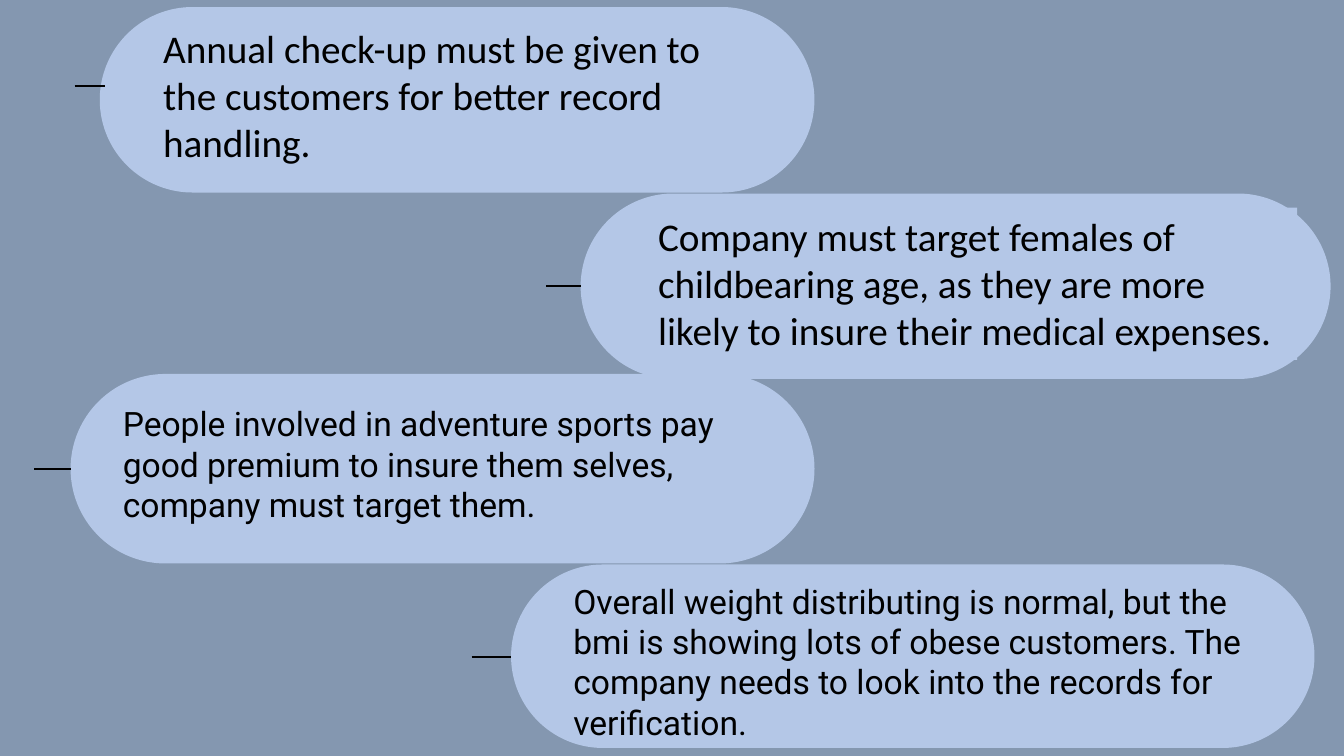
from dataclasses import dataclass

from lxml.etree import SubElement
from pptx import Presentation
from pptx.dml.color import RGBColor
from pptx.enum.shapes import MSO_CONNECTOR as Connector, MSO_SHAPE as Shape
from pptx.enum.text import MSO_ANCHOR as Anchor
from pptx.oxml.ns import qn
from pptx.util import Inches, Pt


@dataclass(frozen=True)
class Theme:
    background: RGBColor = RGBColor.from_string("8497B0")
    card: RGBColor = RGBColor.from_string("B4C7E7")
    ink: RGBColor = RGBColor.from_string("000000")
    line_width: Pt = Pt(1.5)
    calibri: tuple = ("Calibri", Pt(28))
    roboto: tuple = ("Roboto", Pt(24))


class CardSlide:
    """Draws recommendation cards on a grid of 40 columns and 30 rows."""

    def __init__(self, presentation, theme):
        self.theme = theme
        self.column = presentation.slide_width / 40
        self.row = presentation.slide_height / 30
        self.slide = presentation.slides.add_slide(presentation.slide_layouts[6])
        fill = self.slide.background.fill
        fill.solid()
        fill.fore_color.rgb = theme.background

    def place(self, *cells):
        units = (self.column, self.row) * 2
        return [round(cell * unit) for cell, unit in zip(cells, units)]

    def pill(self, group, box):
        shape = group.shapes.add_shape(Shape.ROUNDED_RECTANGLE, *self.place(*box))
        shape.adjustments[0] = 0.5
        shape.shadow.inherit = False
        self.paint(shape)
        shape.line.fill.background()

    def paint(self, shape):
        shape.fill.solid()
        shape.fill.fore_color.rgb = self.theme.card

    def lead(self, group, start, end, row):
        line = group.shapes.add_connector(
            Connector.STRAIGHT, *self.place(start, row, end, row))
        line.line.color.rgb = self.theme.ink
        line.line.width = self.theme.line_width
        SubElement(line._element.spPr, qn("a:effectLst"))

    def text(self, group, box, wording, style, filled):
        shape = group.shapes.add_textbox(*self.place(*box))
        if filled:
            self.paint(shape)
        frame = shape.text_frame
        frame.word_wrap = True
        frame.vertical_anchor = Anchor.TOP
        run = frame.paragraphs[0].add_run()
        run.text = wording
        run.font.name, run.font.size = style
        run.font.color.rgb = self.theme.ink

    def card(self, pill, lead, text, wording, style, filled=True):
        group = self.slide.shapes.add_group_shape()
        self.pill(group, pill)
        self.text(group, text, wording, style, filled)
        self.lead(group, *lead)


def main():
    presentation = Presentation()
    presentation.slide_width = Inches(13.33)
    presentation.slide_height = Inches(7.5)
    theme = Theme()
    slide = CardSlide(presentation, theme)
    slide.card(
        (2.1, 14.84, 22.14, 7.52), (1.02, 2.1, 18.6), (3.36, 15.8, 19.32, 5.24),
        "People involved in adventure sports pay good premium to insure them "
        "selves, company must target them.", theme.roboto)
    slide.card(
        (17.28, 7.68, 22.32, 7.36), (16.26, 17.28, 11.36), (19.29, 8.24, 19.32, 6.04),
        "Company must target females of childbearing age, as they are more "
        "likely to insure their medical expenses.", theme.calibri)
    slide.card(
        (15.21, 22.4, 23.91, 7.28), (14.04, 15.21, 26.08), (16.77, 22.84, 21.57, 6.88),
        "Overall weight distributing is normal, but the bmi is showing lots of "
        "obese customers. The company needs to look into the records for "
        "verification.", theme.roboto, filled=False)
    slide.card(
        (2.97, 0.28, 21.27, 7.36), (2.22, 3.12, 3.4), (4.56, 0.76, 16.59, 6.04),
        "Annual check-up must be given to the customers for better record "
        "handling.", theme.calibri)
    presentation.save("out.pptx")


if __name__ == "__main__":
    main()
